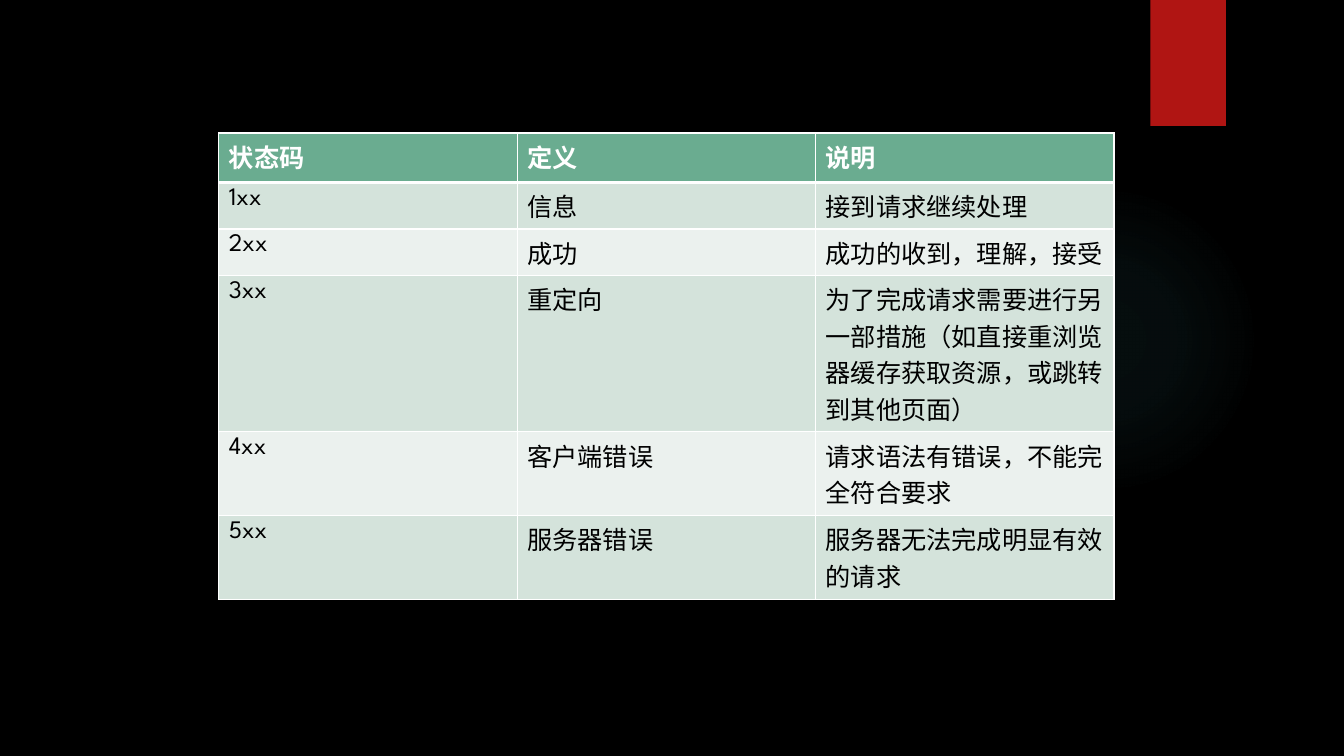
from lxml import etree
from pptx import Presentation
from pptx.dml.color import RGBColor
from pptx.enum.shapes import MSO_SHAPE
from pptx.oxml import parse_xml
from pptx.oxml.ns import nsdecls, qn
from pptx.util import Inches, Pt

OVAL = MSO_SHAPE.OVAL
RECTANGLE = MSO_SHAPE.RECTANGLE

BLACK = RGBColor(0x00, 0x00, 0x00)
WHITE = RGBColor(0xFF, 0xFF, 0xFF)
RED = RGBColor(0xB0, 0x15, 0x13)
TEAL = RGBColor(0x50, 0xB9, 0xC1)
GREEN = RGBColor(0x6A, 0xAC, 0x90)
BANDS = (RGBColor(0xD4, 0xE3, 0xDB), RGBColor(0xEB, 0xF1, 0xEE))

FONT = "League Spartan"
GLOW_STOPS = ((0, 7), (36, 6), (69, 0))
STATUS_CODES = (
    ("状态码", "定义", "说明"),
    ("1xx", "信息", "接到请求继续处理"),
    ("2xx", "成功", "成功的收到，理解，接受"),
    ("3xx", "重定向", "为了完成请求需要进行另一部措施（如直接重浏览器缓存获取资源，或跳转到其他页面）"),
    ("4xx", "客户端错误", "请求语法有错误，不能完全符合要求"),
    ("5xx", "服务器错误", "服务器无法完成明显有效的请求"),
)
ROW_HEIGHTS = (0.49, 0.46, 0.46, 1.55, 0.83, 0.83)
COLUMN_WIDTH = 2.96


def add_plain_shape(page, kind, left, top, width, height):
    shape = page.shapes.add_shape(
        kind, Inches(left), Inches(top), Inches(width), Inches(height))
    shape.shadow.inherit = False
    shape.line.fill.background()
    return shape


def fill_with_glow(shape):
    stops = "".join(
        f'<a:gs pos="{position * 1000}"><a:srgbClr val="{TEAL}">'
        f'<a:alpha val="{opacity * 1000}"/></a:srgbClr></a:gs>'
        for position, opacity in GLOW_STOPS)
    gradient = parse_xml(
        f'<a:gradFill {nsdecls("a")} rotWithShape="1"><a:gsLst>{stops}</a:gsLst>'
        '<a:path path="circle"><a:fillToRect l="50000" t="50000" r="50000" b="50000"/>'
        '</a:path></a:gradFill>')
    shape.fill.background()
    properties = shape.element.spPr
    properties.replace(properties.find(qn("a:noFill")), gradient)


def set_borders(cell, widths):
    properties = cell._tc.get_or_add_tcPr()
    for index, (side, width) in enumerate(widths.items()):
        border = etree.Element(qn(f"a:ln{side}"), w=str(Pt(width)))
        fill = etree.SubElement(border, qn("a:solidFill"))
        etree.SubElement(fill, qn("a:srgbClr"), val=str(WHITE))
        properties.insert(index, border)


deck = Presentation()
deck.slide_width = Inches(13.33)
deck.slide_height = Inches(7.5)
page = deck.slides.add_slide(deck.slide_layouts[6])
page.background.fill.solid()
page.background.fill.fore_color.rgb = BLACK

glow = add_plain_shape(page, OVAL, 9.41, 1.83, 3.08, 3.08)
fill_with_glow(glow)

ribbon = add_plain_shape(page, RECTANGLE, 11.41, 0, 0.75, 1.25)
ribbon.fill.solid()
ribbon.fill.fore_color.rgb = RED

column_count = len(STATUS_CODES[0])
table = page.shapes.add_table(
    len(STATUS_CODES), column_count, Inches(2.17), Inches(1.32),
    Inches(COLUMN_WIDTH * column_count), Inches(sum(ROW_HEIGHTS))).table
for column in table.columns:
    column.width = Inches(COLUMN_WIDTH)

for row_index, texts in enumerate(STATUS_CODES):
    table.rows[row_index].height = Inches(ROW_HEIGHTS[row_index])
    is_header = row_index == 0
    for column_index, text in enumerate(texts):
        cell = table.cell(row_index, column_index)
        cell.text = text
        cell.fill.solid()
        cell.fill.fore_color.rgb = GREEN if is_header else BANDS[(row_index - 1) % 2]
        set_borders(cell, {"L": 1, "R": 1, "T": 3 if row_index == 1 else 1,
                           "B": 3 if is_header else 1})
        font = cell.text_frame.paragraphs[0].font
        font.name = FONT
        font.size = Pt(18)
        font.bold = is_header
        font.color.rgb = WHITE if is_header else BLACK

deck.save("out.pptx")
